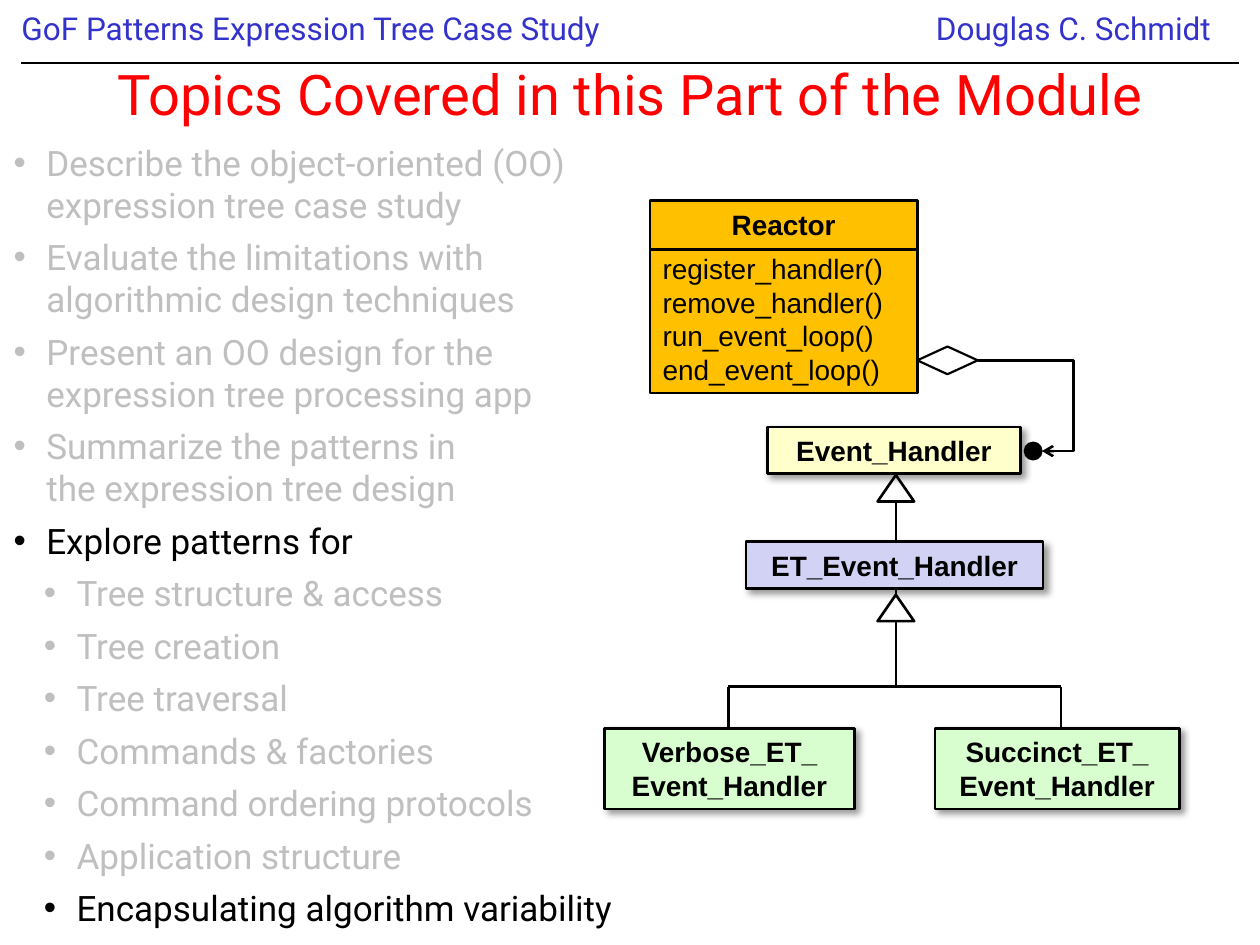
import dataclasses
import pptx
import pptx.dml.color
import pptx.enum.shapes
import pptx.enum.text
import pptx.oxml
import pptx.oxml.ns
import pptx.util
from lxml import etree

SHAPE = pptx.enum.shapes.MSO_SHAPE
LINK = pptx.enum.shapes.MSO_CONNECTOR
ALIGN = pptx.enum.text.PP_ALIGN
ANCHOR = pptx.enum.text.MSO_ANCHOR
NS = pptx.oxml.ns.nsdecls("a")
COLUMNS, ROWS = 100, 75
COLORS = {
    "black": "000000", "white": "FFFFFF", "header": "3333CC", "title": "FF0000",
    "muted": "BFBFBF", "reactor": "FFC000", "handler": "FFFFCC",
    "tree": "D2D2F4", "leaf": "D8FDCF",
}
TOPICS = [
    (0, "muted", "Describe the object-oriented (OO) expression tree case study"),
    (0, "muted", "Evaluate the limitations with algorithmic design techniques"),
    (0, "muted", "Present an OO design for the expression tree processing app"),
    (0, "muted", "Summarize the patterns in \nthe expression tree design"),
    (0, "black", "Explore patterns for"),
    (1, "muted", "Tree structure & access"),
    (1, "muted", "Tree creation"),
    (1, "muted", "Tree traversal"),
    (1, "muted", "Commands & factories"),
    (1, "muted", "Command ordering protocols"),
    (1, "muted", "Application structure"),
    (1, "black", "Encapsulating algorithm variability"),
]
METHODS = ["register_handler()", "remove_handler()", "run_event_loop()", "end_event_loop()"]


@dataclasses.dataclass
class Box:
    left: float
    top: float
    width: float
    height: float

    def inner(self, left, top, width, height):
        return Box(self.left + left, self.top + top, width, height)

    def emu(self):
        return [pptx.util.Inches(v / 10) for v in (self.left, self.top, self.width, self.height)]


def rgb(name):
    return pptx.dml.color.RGBColor.from_string(COLORS[name])


def add_xml(parent, xml):
    parent.append(etree.fromstring(xml, parser=pptx.oxml.oxml_parser))


def add_text(p, text, size, font, color, bold=False):
    for i, part in enumerate(text.split("\n")):
        if i:
            p.add_line_break()
        r = p.add_run()
        r.text = part
        r.font.size = pptx.util.Pt(size)
        r.font.name = font
        r.font.bold = bold
        r.font.color.rgb = rgb(color)


def add_textbox(s, box):
    sp = s.shapes.add_textbox(*box.emu())
    sp.text_frame.word_wrap = True
    return sp.text_frame


def add_shape(s, kind, box, fill=None, width=1.5):
    sp = s.shapes.add_shape(kind, *box.emu())
    sp.shadow.inherit = False
    if fill:
        sp.fill.solid()
        sp.fill.fore_color.rgb = rgb(fill)
    else:
        sp.fill.background()
    sp.line.color.rgb = rgb("black")
    sp.line.width = pptx.util.Pt(width)
    return sp


def add_line(s, box, x1, y1, x2, y2, width=1.5, kind=LINK.STRAIGHT):
    ends = [pptx.util.Inches(v / 10) for v in
            (box.left + x1, box.top + y1, box.left + x2, box.top + y2)]
    line = s.shapes.add_connector(kind, *ends)
    line.line.color.rgb = rgb("black")
    line.line.width = pptx.util.Pt(width)
    add_xml(line._element.spPr, f"<a:effectLst {NS}/>")
    return line


def add_class(s, box, name, fill, shadow=True):
    sp = add_shape(s, SHAPE.RECTANGLE, box, fill)
    if shadow:
        effects = sp._element.spPr.find(pptx.oxml.ns.qn("a:effectLst"))
        add_xml(effects, f'<a:outerShdw {NS} blurRad="50800" dist="38100" dir="2700000" '
                         'algn="tl" rotWithShape="0"><a:srgbClr val="000000">'
                         '<a:alpha val="40000"/></a:srgbClr></a:outerShdw>')
    tf = sp.text_frame
    tf.word_wrap = True
    tf.vertical_anchor = ANCHOR.MIDDLE
    p = tf.paragraphs[0]
    p.alignment = ALIGN.CENTER
    add_text(p, name, 16, "Arial", "black", True)
    return tf


def add_header(s, box):
    labels = [("GoF Patterns Expression Tree Case Study", 0, 59.2, 0),
              ("Douglas C. Schmidt", 71.6, 25.1, 0.1)]
    for text, left, width, inset in labels:
        tf = add_textbox(s, box.inner(left, 0, width, 3.7))
        tf.margin_left = tf.margin_right = pptx.util.Inches(inset)
        p = tf.paragraphs[0]
        p.line_spacing = 0.9
        add_text(p, text, 18, "Roboto", "header")
    add_line(s, box, 0, box.height, box.width, box.height, 0.75)


def add_title(s, box):
    sp = s.shapes.title
    sp.left, sp.top, sp.width, sp.height = box.emu()
    tf = sp.text_frame
    tf.auto_size = pptx.enum.text.MSO_AUTO_SIZE.NONE
    tf.vertical_anchor = ANCHOR.MIDDLE
    p = tf.paragraphs[0]
    p.alignment = ALIGN.CENTER
    add_text(p, "Topics Covered in this Part of the Module", 32, "Roboto", "title")


def add_topics(s, box):
    tf = add_textbox(s, box)
    for i, (level, color, text) in enumerate(TOPICS):
        p = tf.add_paragraph() if i else tf.paragraphs[0]
        pPr = p._p.get_or_add_pPr()
        pPr.set("marL", str(pptx.util.Inches(0.5 if level else 0.26)))
        pPr.set("indent", str(-pptx.util.Inches(0.26)))
        add_xml(pPr, f'<a:buClr {NS}><a:srgbClr val="{COLORS[color]}"/></a:buClr>')
        add_xml(pPr, f'<a:buFont {NS} typeface="Arial"/>')
        add_xml(pPr, f'<a:buChar {NS} char="•"/>')
        if i:
            p.space_before = pptx.util.Pt(6)
        add_text(p, text, 20, "Roboto", color)


def add_reactor(s, box):
    tf = add_class(s, box, "Reactor", "reactor", shadow=False)
    for i, method in enumerate(METHODS):
        p = tf.add_paragraph()
        p.alignment = ALIGN.LEFT
        if i == 0:
            p.space_before = pptx.util.Pt(6)
        add_text(p, method, 16, "Arial", "black")
    add_line(s, box, 0, 3.9, box.width, 3.9)


def add_aggregation(s, box):
    add_shape(s, SHAPE.FLOWCHART_DECISION, box.inner(0, 0, 4.8, 2.2), width=1.25)
    add_shape(s, SHAPE.OVAL, box.inner(8.5, 7.6, 1.4, 1.4), "black", 0.75)
    link = add_line(s, box, 4.8, 1.1, 9.9, 8.3, kind=LINK.ELBOW)
    spPr = link._element.spPr
    guides = spPr.prstGeom.get_or_add_avLst()
    add_xml(guides, f'<a:gd {NS} name="adj1" fmla="val 148800"/>')
    add_xml(spPr.find(pptx.oxml.ns.qn("a:ln")), f'<a:tailEnd {NS} type="arrow"/>')


def add_hierarchy(s, box):
    trunk, fork, branches = 23.1, 20.6, (9.8, 36.2)
    add_line(s, box, trunk, 3.7, trunk, fork)
    add_line(s, box, branches[0], fork, branches[1], fork)
    for x in branches:
        add_line(s, box, x, fork, x, 24)
    for top in (3.8, 13.3):
        add_shape(s, SHAPE.ISOSCELES_TRIANGLE, box.inner(trunk - 1.45, top, 2.9, 2.1), "white")
    add_class(s, box.inner(12.9, 0, 20.1, 3.7), "Event_Handler", "handler")
    add_class(s, box.inner(11.2, 9.1, 23.6, 3.7), "ET_Event_Handler", "tree")
    add_class(s, box.inner(0, 23.9, 19.8, 6.4), "Verbose_ET_\nEvent_Handler", "leaf")
    add_class(s, box.inner(26.2, 23.9, 19.4, 6.4), "Succinct_ET_\nEvent_Handler", "leaf")


def main():
    prs = pptx.Presentation()
    prs.slide_width = pptx.util.Inches(COLUMNS / 10)
    prs.slide_height = pptx.util.Inches(ROWS / 10)
    s = prs.slides.add_slide(prs.slide_layouts[5])
    add_header(s, Box(1.7, 0.6, 96.6, 4.4))
    add_title(s, Box(1.7, 5.3, 96.7, 4.2))
    add_topics(s, Box(0.1, 10.7, 52.3, 64.1))
    add_reactor(s, Box(51.6, 15.9, 21.2, 15.3))
    add_aggregation(s, Box(72.8, 27.5, 12.4, 9))
    add_hierarchy(s, Box(48, 33.9, 45.6, 30.3))
    prs.save("out.pptx")


if __name__ == "__main__":
    main()
